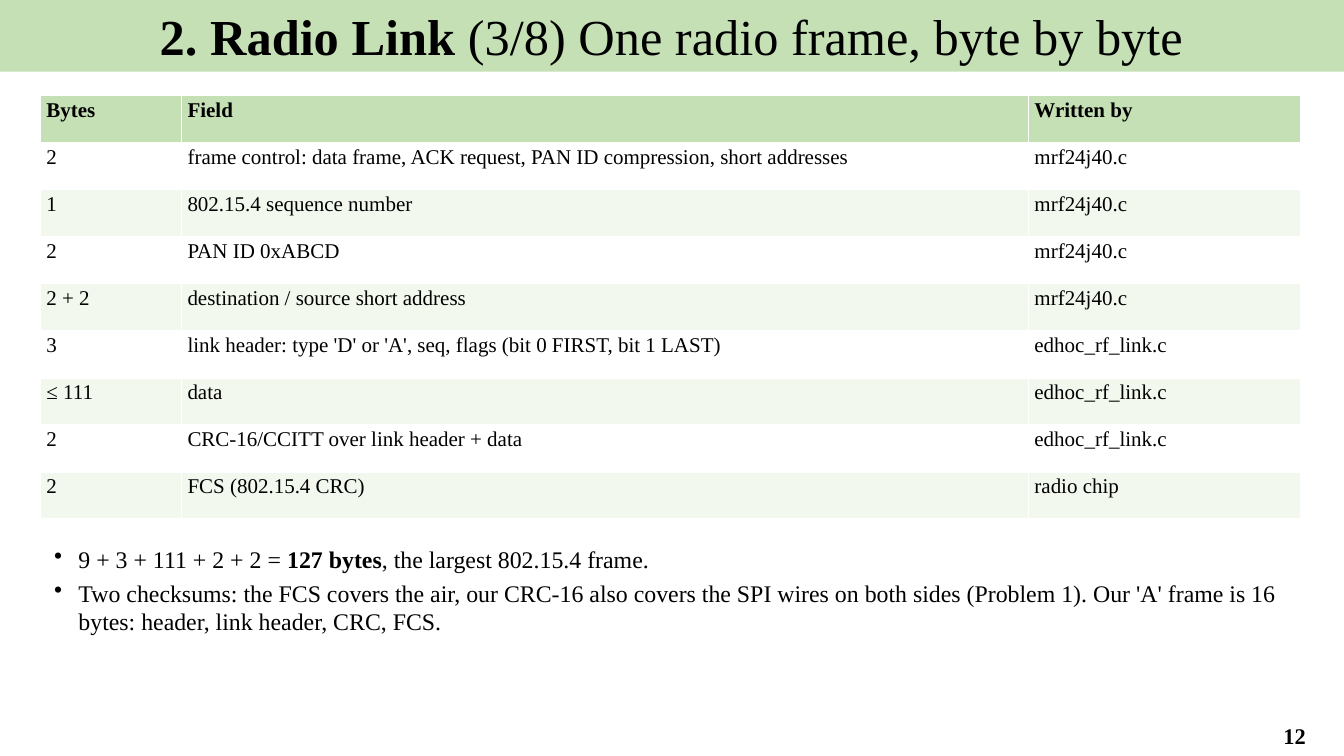
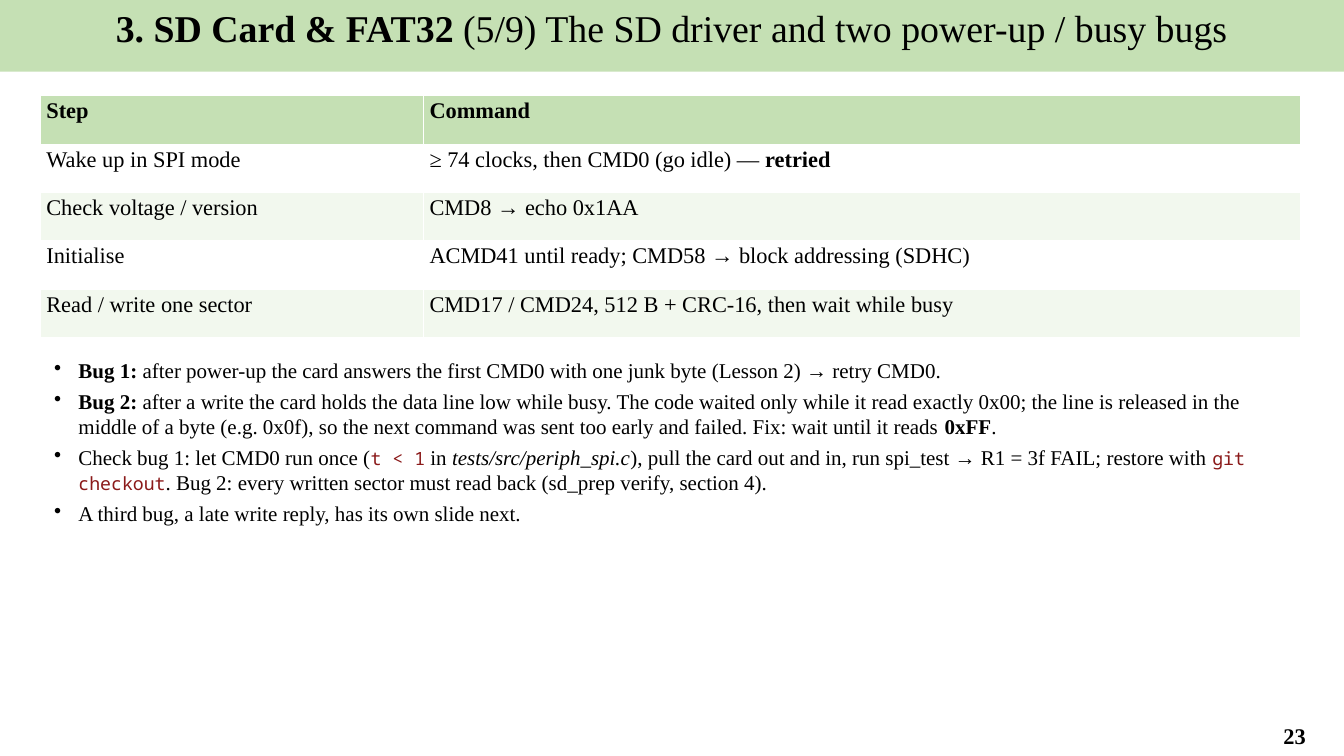
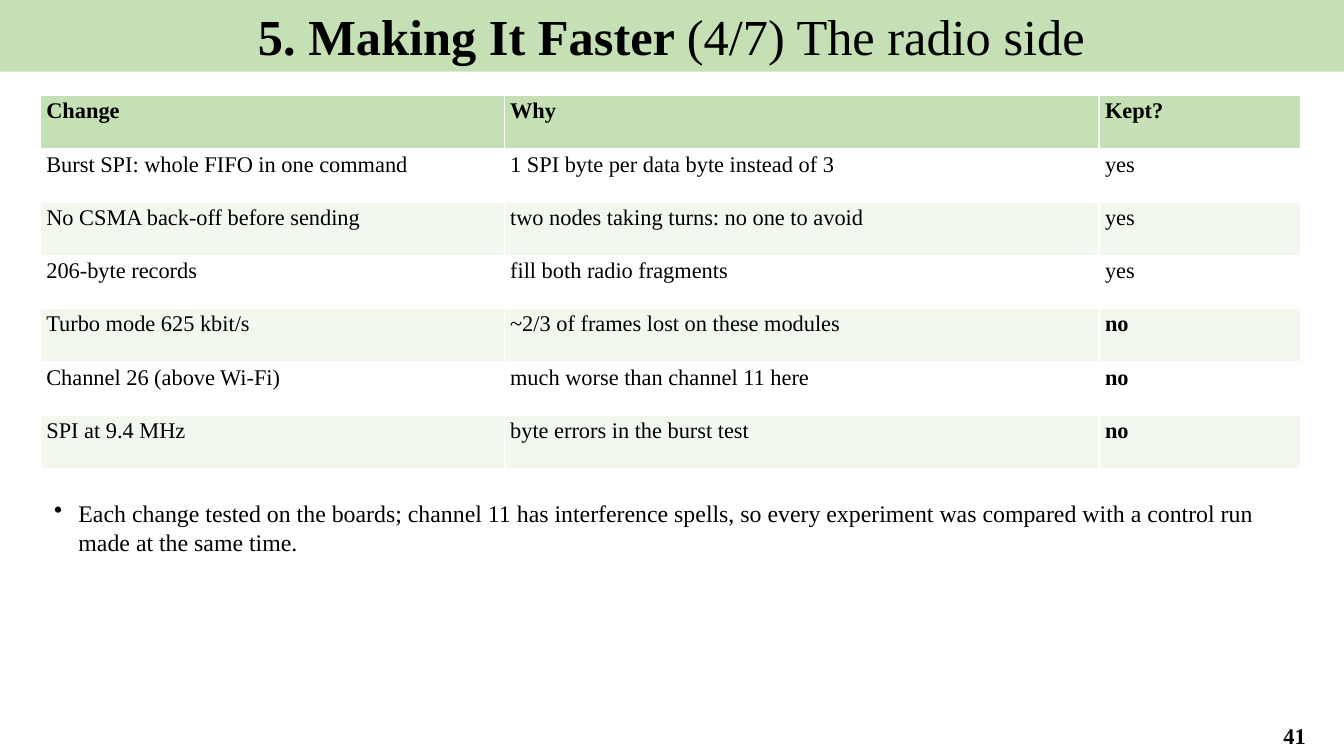
"""Builds three lecture slides, each with a title band, a table and bullets."""
import lxml.etree
import pptx
import pptx.dml.color
import pptx.enum.shapes
import pptx.enum.text
import pptx.oxml.ns
import pptx.util

Inches = pptx.util.Inches
Pt = pptx.util.Pt
ALIGN = pptx.enum.text.PP_ALIGN
ANCHOR = pptx.enum.text.MSO_ANCHOR

COLORS = {"band": "C5E0B4", "stripe": "F2F8EE", "paper": "FFFFFF",
          "ink": "000000", "code": "8B1A1A"}
SERIF = "Times New Roman"
STYLES = {
    "bold": {"bold": True},
    "italic": {"italic": True},
    "code": {"font": "Noto Sans Mono", "size": 13, "color": "code"},
}

BAND_BOX = (-0.01, 0, 13.34, 0.71)
NUMBER_BOX = (12.35, 7.1, 0.98, 0.39)
LEFT, WIDTH, TABLE_TOP = 0.4, 12.5, 0.95

SLIDES = [
    {
        "number": "12",
        "title": [("2. Radio Link ", "bold"), "(3/8) One radio frame, byte by byte"],
        "title_size": 36,
        "columns": [1.4, 8.4, 2.7],
        "table_height": 4.2,
        "table_size": 15,
        "rows": [
            ["Bytes", "Field", "Written by"],
            ["2", "frame control: data frame, ACK request, PAN ID compression, short addresses",
             "mrf24j40.c"],
            ["1", "802.15.4 sequence number", "mrf24j40.c"],
            ["2", "PAN ID 0xABCD", "mrf24j40.c"],
            ["2 + 2", "destination / source short address", "mrf24j40.c"],
            ["3", "link header: type 'D' or 'A', seq, flags (bit 0 FIRST, bit 1 LAST)",
             "edhoc_rf_link.c"],
            ["≤ 111", "data", "edhoc_rf_link.c"],
            ["2", "CRC-16/CCITT over link header + data", "edhoc_rf_link.c"],
            ["2", "FCS (802.15.4 CRC)", "radio chip"],
        ],
        "bullets_top": 5.35,
        "bullets_height": 1.6,
        "bullets_size": 17,
        "bullets": [
            ["9 + 3 + 111 + 2 + 2 = ", ("127 bytes", "bold"), ", the largest 802.15.4 frame."],
            "Two checksums: the FCS covers the air, our CRC-16 also covers the SPI wires on both "
            "sides (Problem 1). Our 'A' frame is 16 bytes: header, link header, CRC, FCS.",
        ],
    },
    {
        "number": "23",
        "title": [("3. SD Card & FAT32 ", "bold"),
                  "(5/9) The SD driver and two power-up / busy bugs"],
        "title_size": 27,
        "columns": [3.8, 8.7],
        "table_height": 2.4,
        "table_size": 16,
        "rows": [
            ["Step", "Command"],
            ["Wake up in SPI mode", ["≥ 74 clocks, then CMD0 (go idle) — ", ("retried", "bold")]],
            ["Check voltage / version", "CMD8 → echo 0x1AA"],
            ["Initialise", "ACMD41 until ready; CMD58 → block addressing (SDHC)"],
            ["Read / write one sector", "CMD17 / CMD24, 512 B + CRC-16, then wait while busy"],
        ],
        "bullets_top": 3.5,
        "bullets_height": 3.5,
        "bullets_size": 15,
        "bullets": [
            [("Bug 1:", "bold"), " after power-up the card answers the first CMD0 with one junk "
             "byte (Lesson 2) → retry CMD0."],
            [("Bug 2:", "bold"), " after a write the card holds the data line low while busy. "
             "The code waited only while it read exactly 0x00; the line is released in the middle "
             "of a byte (e.g. 0x0f), so the next command was sent too early and failed. "
             "Fix: wait until it reads ", ("0xFF", "bold"), "."],
            ["Check bug 1: let CMD0 run once (", ("t < 1", "code"), " in ",
             ("tests/src/periph_spi.c", "italic"),
             "), pull the card out and in, run spi_test → R1 = 3f FAIL; restore with ",
             ("git checkout", "code"),
             ". Bug 2: every written sector must read back (sd_prep verify, section 4)."],
            "A third bug, a late write reply, has its own slide next.",
        ],
    },
    {
        "number": "41",
        "title": [("5. Making It Faster ", "bold"), "(4/7) The radio side"],
        "title_size": 36,
        "columns": [4.6, 5.9, 2],
        "table_height": 3.7,
        "table_size": 16,
        "rows": [
            ["Change", "Why", "Kept?"],
            ["Burst SPI: whole FIFO in one command", "1 SPI byte per data byte instead of 3",
             "yes"],
            ["No CSMA back-off before sending", "two nodes taking turns: no one to avoid", "yes"],
            ["206-byte records", "fill both radio fragments", "yes"],
            ["Turbo mode 625 kbit/s", "~2/3 of frames lost on these modules", [("no", "bold")]],
            ["Channel 26 (above Wi-Fi)", "much worse than channel 11 here", [("no", "bold")]],
            ["SPI at 9.4 MHz", "byte errors in the burst test", [("no", "bold")]],
        ],
        "bullets_top": 4.9,
        "bullets_height": 1.5,
        "bullets_size": 17,
        "bullets": [
            "Each change tested on the boards; channel 11 has interference spells, so every "
            "experiment was compared with a control run made at the same time.",
        ],
    },
]


def rgb(name):
    """Return the named colour."""
    return pptx.dml.color.RGBColor.from_string(COLORS[name])


def inches(box):
    """Convert a box of numbers to lengths."""
    return [Inches(length) for length in box]


def write(paragraph, content, align=ALIGN.LEFT, **base):
    """Fill a paragraph from a string or a list of strings and (text, style) pairs."""
    paragraph.alignment = align
    for part in [content] if isinstance(content, str) else content:
        text, style = (part, None) if isinstance(part, str) else part
        look = {"font": SERIF, "color": "ink", "bold": False, "italic": False,
                **base, **STYLES.get(style, {})}
        run = paragraph.add_run()
        run.text = text
        run.font.name = look["font"]
        run.font.size = Pt(look["size"])
        run.font.bold = look["bold"]
        run.font.italic = look["italic"]
        run.font.color.rgb = rgb(look["color"])


def add_title_band(slide, box, title, size):
    """Draw the coloured band that carries the title."""
    band = slide.shapes.add_shape(pptx.enum.shapes.MSO_SHAPE.RECTANGLE, *inches(box))
    band.shadow.inherit = False
    band.fill.solid()
    band.fill.fore_color.rgb = rgb("band")
    band.line.fill.background()
    band.text_frame.word_wrap = True
    band.text_frame.vertical_anchor = ANCHOR.TOP
    write(band.text_frame.paragraphs[0], title, align=ALIGN.CENTER, size=size)


def add_page_number(slide, box, number):
    """Place the page number in the bottom corner."""
    frame = slide.shapes.add_textbox(*inches(box)).text_frame
    frame.word_wrap = True
    frame.vertical_anchor = ANCHOR.MIDDLE
    write(frame.paragraphs[0], number, align=ALIGN.CENTER, size=16, bold=True)


def add_striped_table(slide, box, columns, rows, size):
    """Draw a table with a header row and alternating row fills."""
    table = slide.shapes.add_table(len(rows), len(columns), *inches(box)).table
    table.horz_banding = False
    for column, width in zip(table.columns, columns):
        column.width = Inches(width)
    for index, (row, contents) in enumerate(zip(table.rows, rows)):
        fill = "band" if index == 0 else "paper" if index % 2 else "stripe"
        for cell, content in zip(row.cells, contents):
            cell.margin_left = cell.margin_right = Inches(0.06)
            cell.margin_top = cell.margin_bottom = Inches(0.03)
            cell.fill.solid()
            cell.fill.fore_color.rgb = rgb(fill)
            write(cell.text_frame.paragraphs[0], content, size=size, bold=index == 0)


def add_bullets(slide, box, bullets, size):
    """Place a bulleted list with hanging indents."""
    frame = slide.shapes.add_textbox(*inches(box)).text_frame
    frame.word_wrap = True
    for index, bullet in enumerate(bullets):
        paragraph = frame.add_paragraph() if index else frame.paragraphs[0]
        paragraph.space_after = Pt(4)
        properties = paragraph._p.get_or_add_pPr()
        properties.set("marL", str(Inches(0.28)))
        properties.set("indent", str(Inches(-0.24)))
        lxml.etree.SubElement(properties, pptx.oxml.ns.qn("a:buChar"), char="•")
        write(paragraph, bullet, size=size)


def add_lesson_slide(deck, lesson):
    """Add one slide with its band, page number, table and bullets."""
    slide = deck.slides.add_slide(deck.slide_layouts[6])
    add_title_band(slide, BAND_BOX, lesson["title"], lesson["title_size"])
    add_page_number(slide, NUMBER_BOX, lesson["number"])
    add_striped_table(slide, (LEFT, TABLE_TOP, WIDTH, lesson["table_height"]),
                      lesson["columns"], lesson["rows"], lesson["table_size"])
    add_bullets(slide, (LEFT, lesson["bullets_top"], WIDTH, lesson["bullets_height"]),
                lesson["bullets"], lesson["bullets_size"])


def main():
    """Build and save the deck."""
    deck = pptx.Presentation()
    deck.slide_width, deck.slide_height = Inches(13.33), Inches(7.5)
    for lesson in SLIDES:
        add_lesson_slide(deck, lesson)
    deck.save("out.pptx")


if __name__ == "__main__":
    main()
